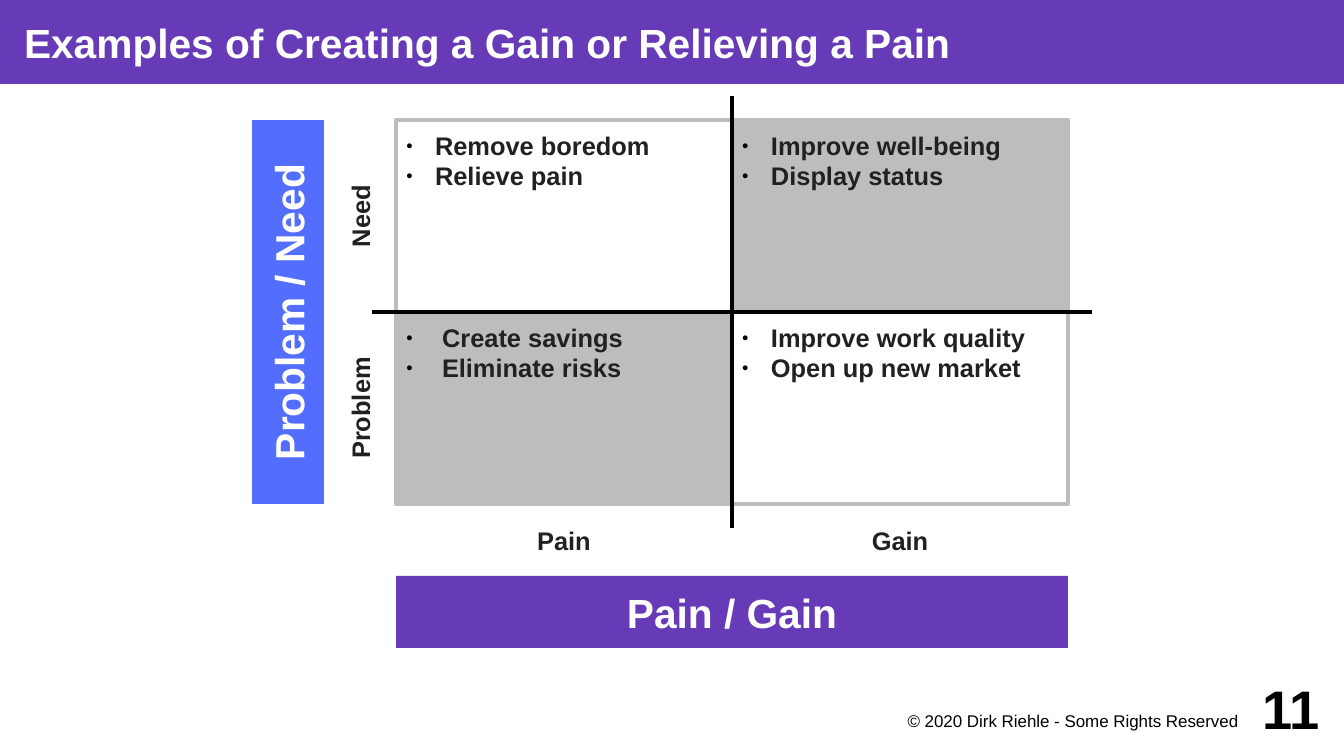
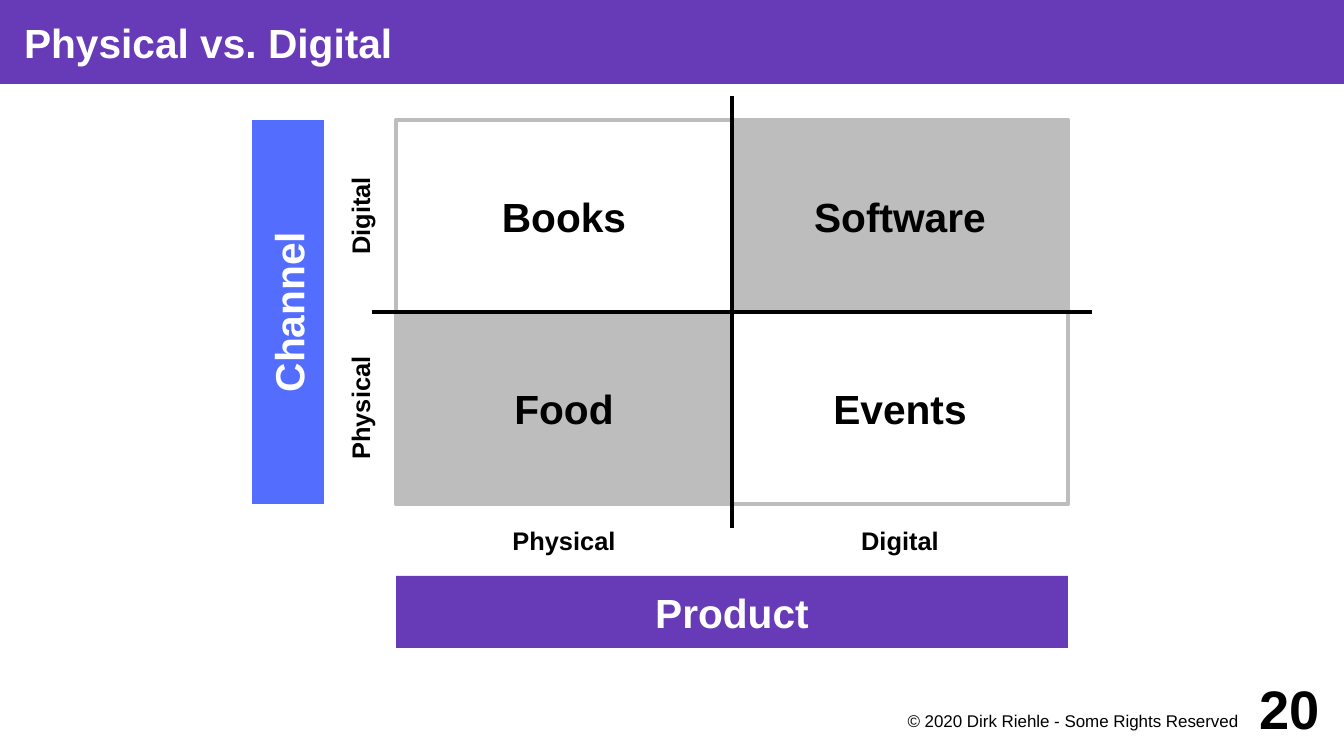
import dataclasses
import typing

import lxml.etree
import pptx
import pptx.dml.color
import pptx.enum.shapes
import pptx.enum.text
import pptx.oxml.ns
import pptx.util

ALIGN = pptx.enum.text.PP_ALIGN
ANCHOR = pptx.enum.text.MSO_ANCHOR
SCALE = 914400 / 122  # EMU in one px


# Theme and records
@dataclasses.dataclass(frozen=True)
class Theme:
    font: str = "Arial"
    band: str = "673AB7"
    side: str = "536DFE"
    gray: str = "BDBDBD"
    white: str = "FFFFFF"
    black: str = "000000"
    dark: str = "212121"
    head: float = 24
    label: float = 15
    foot: float = 10
    page: float = 32
    line: float = 2.83


THEME = Theme()


class Box(typing.NamedTuple):
    x: int
    y: int
    w: int
    h: int


@dataclasses.dataclass(frozen=True)
class Cell:
    lines: tuple[str, ...]
    indent: int = 0  # hanging indent of bullets; 0 for a centred word


@dataclasses.dataclass(frozen=True)
class Matrix:
    title: str
    page: int
    side: str
    base: str
    rows: tuple[str, str]
    cols: tuple[str, str]
    cells: tuple[Cell, ...]  # row by row, from top left
    ink: str


# Layout in px
WIDE, HIGH = 1344, 756
GRID = Box(396, 120, 672, 384)
CELL_W, CELL_H = GRID.w // 2, GRID.h // 2
MID_X, MID_Y = GRID.x + CELL_W, GRID.y + CELL_H
BAR = 72
OVER = 24  # how far the axes pass the grid
ROW_X = 360  # centre of the row labels
SIDE_X = 288  # centre of the side bar


def px(size: float) -> pptx.util.Emu:
    return pptx.util.Emu(round(size * SCALE))


def rgb(code: str) -> pptx.dml.color.RGBColor:
    return pptx.dml.color.RGBColor.from_string(code)


def turned(x: int, y: int, w: int, h: int) -> Box:
    """Box around a centre, before its rotation."""
    return Box(x - w // 2, y - h // 2, w, h)


# Drawing
def bullet(para, indent: int) -> None:
    props = para._p.get_or_add_pPr()
    props.set("marL", str(px(indent)))
    props.set("indent", str(-px(indent)))
    qn = pptx.oxml.ns.qn
    tint = lxml.etree.SubElement(props, qn("a:buClr"))
    lxml.etree.SubElement(tint, qn("a:srgbClr"), val=THEME.black)
    lxml.etree.SubElement(props, qn("a:buSzPct"), val="45000")
    lxml.etree.SubElement(props, qn("a:buFont"), typeface=THEME.font)
    lxml.etree.SubElement(props, qn("a:buChar"), char="●")


def write(shape, *lines: str, size: float, color: str, bold: bool = True,
          align=ALIGN.CENTER, anchor=ANCHOR.MIDDLE,
          pad: tuple[int, int, int, int] = (0, 0, 0, 0),
          indent: int = 0) -> None:
    frame = shape.text_frame
    frame.word_wrap = True
    frame.auto_size = pptx.enum.text.MSO_AUTO_SIZE.NONE
    frame.vertical_anchor = anchor
    (frame.margin_left, frame.margin_top,
     frame.margin_right, frame.margin_bottom) = map(px, pad)
    for i, line in enumerate(lines):
        para = frame.add_paragraph() if i else frame.paragraphs[0]
        para.alignment = align
        if indent:
            bullet(para, indent)
        run = para.add_run()
        run.text = line
        font = run.font
        font.name, font.size, font.bold = THEME.font, pptx.util.Pt(size), bold
        font.color.rgb = rgb(color)


def fill(shape, color: str, edge: str = "") -> None:
    shape.fill.solid()
    shape.fill.fore_color.rgb = rgb(color)
    if edge:
        shape.line.color.rgb = rgb(edge)
        shape.line.width = pptx.util.Pt(THEME.line)
    else:
        shape.line.fill.background()


def rect(slide, box: Box, color: str, edge: str = "", turn: int = 0):
    kind = pptx.enum.shapes.MSO_SHAPE.RECTANGLE
    shape = slide.shapes.add_shape(kind, *map(px, box))
    shape.shadow.inherit = False
    shape.rotation = turn
    fill(shape, color, edge)
    return shape


def label(slide, box: Box, text: str, turn: int = 0, **style) -> None:
    shape = slide.shapes.add_textbox(*map(px, box))
    shape.rotation = turn
    write(shape, text, **style)


def axis(slide, x1: int, y1: int, x2: int, y2: int) -> None:
    kind = pptx.enum.shapes.MSO_CONNECTOR.STRAIGHT
    line = slide.shapes.add_connector(kind, *map(px, (x1, y1, x2, y2)))
    line.line.color.rgb = rgb(THEME.black)
    line.line.width = pptx.util.Pt(THEME.line)
    lxml.etree.SubElement(line._element.spPr, pptx.oxml.ns.qn("a:effectLst"))


def frame(deck, title: str, page: int):
    """Slide with the shared title band and footer."""
    slide = deck.slides.add_slide(deck.slide_layouts[5])
    head = slide.shapes.title
    head.left, head.top, head.width, head.height = map(px, (0, 0, WIDE, 84))
    fill(head, THEME.band)
    write(head, title, size=THEME.head, color=THEME.white,
          align=ALIGN.LEFT, pad=(24, 0, 0, 0))
    label(slide, Box(864, 708, 384, 36),
          "© 2020 Dirk Riehle - Some Rights Reserved",
          size=THEME.foot, color=THEME.black, bold=False,
          align=ALIGN.RIGHT, anchor=ANCHOR.TOP, pad=(0, 3, 10, 0))
    label(slide, Box(1224, 672, 96, 72), str(page), size=THEME.page,
          color=THEME.black, align=ALIGN.RIGHT)
    return slide


def draw(deck, plan: Matrix) -> None:
    slide = frame(deck, plan.title, plan.page)
    small = dict(size=THEME.label, color=plan.ink, pad=(10, 10, 10, 10))
    large = dict(size=THEME.head, color=THEME.white)

    # Cells, gray ones first so that white ones lie on top
    spots = [(i // 2, i % 2, cell) for i, cell in enumerate(plan.cells)]
    for row, col, cell in sorted(spots, key=lambda s: s[0] == s[1]):
        box = Box(GRID.x + col * CELL_W, GRID.y + row * CELL_H, CELL_W, CELL_H)
        shape = rect(slide, box, THEME.white if row == col else THEME.gray,
                     THEME.gray)
        if cell.indent:
            write(shape, *cell.lines, align=ALIGN.LEFT, anchor=ANCHOR.TOP,
                  indent=cell.indent, **small)
        else:
            write(shape, *cell.lines, size=THEME.head, color=plan.ink)

    # Labels
    low = GRID.y + GRID.h
    for i, (row, col) in enumerate(zip(plan.rows, plan.cols)):
        label(slide, Box(GRID.x + i * CELL_W, low, CELL_W, BAR), col, **small)
        mid = GRID.y + i * CELL_H + CELL_H // 2
        label(slide, turned(ROW_X, mid, CELL_H, BAR), row, turn=270, **small)

    # Bars
    base = rect(slide, Box(GRID.x, low + BAR, GRID.w, BAR), THEME.band)
    write(base, plan.base, **large)
    side = rect(slide, turned(SIDE_X, MID_Y, GRID.h, BAR), THEME.side, turn=270)
    write(side, plan.side, **large)

    # Axes
    axis(slide, GRID.x - OVER, MID_Y, GRID.x + GRID.w + OVER, MID_Y)
    axis(slide, MID_X, low + OVER, MID_X, GRID.y - OVER)


# Content
PLANS = (
    Matrix("Examples of Creating a Gain or Relieving a Pain", 11,
           "Problem / Need", "Pain / Gain",
           ("Need", "Problem"), ("Pain", "Gain"),
           (Cell(("Remove boredom", "Relieve pain"), 29),
            Cell(("Improve well-being", "Display status"), 29),
            Cell(("Create savings", "Eliminate risks"), 36),
            Cell(("Improve work quality", "Open up new market"), 29)),
           THEME.dark),
    Matrix("Physical vs. Digital", 20, "Channel", "Product",
           ("Digital", "Physical"), ("Physical", "Digital"),
           (Cell(("Books",)), Cell(("Software",)),
            Cell(("Food",)), Cell(("Events",))),
           THEME.black),
)


def main() -> None:
    deck = pptx.Presentation()
    deck.slide_width, deck.slide_height = px(WIDE), px(HIGH)
    for plan in PLANS:
        draw(deck, plan)
    deck.save("out.pptx")


if __name__ == "__main__":
    main()
